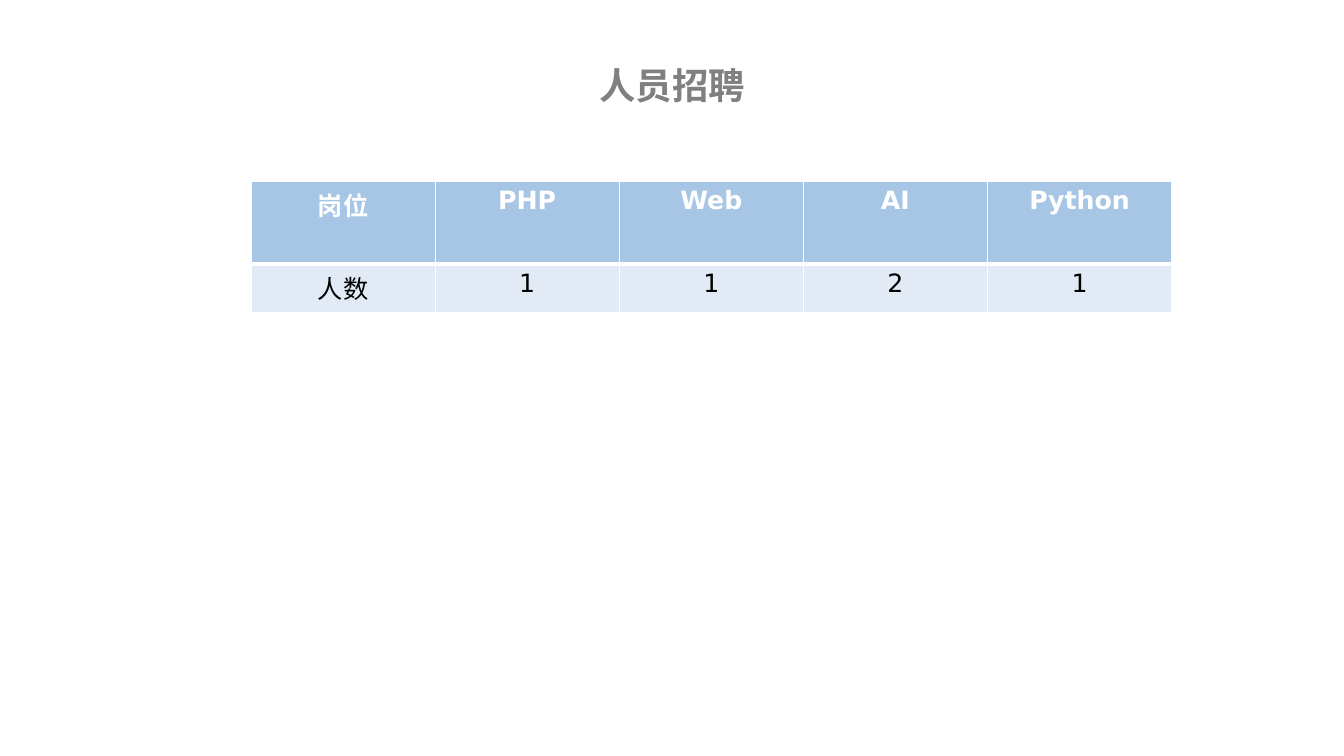
"""Build the recruitment slide: a title above a table of posts and headcounts."""
from dataclasses import dataclass

from lxml.etree import SubElement
from pptx import Presentation
from pptx.dml.color import RGBColor
from pptx.enum.text import MSO_ANCHOR, PP_ALIGN
from pptx.oxml.ns import qn
from pptx.util import Inches, Pt


@dataclass(frozen=True)
class Theme:
    """Colours, fonts and sizes of the slide."""
    grey: str = "808080"
    white: str = "FFFFFF"
    black: str = "000000"
    header_blue: str = "A7C6E5"
    row_blue: str = "E1EAF5"
    chinese: str = "Noto Sans CJK SC"
    latin: str = "DejaVu Sans"
    title_size: int = 26
    table_size: int = 18
    thin: int = 1
    thick: int = 3


THEME = Theme()


def write(frame, text, *, size, color, font, bold=False, anchor=MSO_ANCHOR.TOP):
    """Write one centred line of formatted text."""
    frame.word_wrap = True
    frame.vertical_anchor = anchor
    paragraph = frame.paragraphs[0]
    paragraph.alignment = PP_ALIGN.CENTER
    run = paragraph.add_run()
    run.text = text
    run.font.size = Pt(size)
    run.font.bold = bold
    run.font.color.rgb = RGBColor.from_string(color)
    run.font.name = font
    SubElement(run.font._element, qn("a:ea"), typeface=THEME.chinese)


def paint(cell, fill, borders):
    """Give a cell white borders and a solid fill."""
    properties = cell._tc.get_or_add_tcPr()
    for side, width in borders.items():
        line = SubElement(properties, qn(f"a:{side}"), w=str(Pt(width)))
        SubElement(SubElement(line, qn("a:solidFill")), qn("a:srgbClr"), val=THEME.white)
    cell.fill.solid()
    cell.fill.fore_color.rgb = RGBColor.from_string(fill)


deck = Presentation()
deck.slide_width, deck.slide_height = Inches(13.33), Inches(7.5)
slide = deck.slides.add_slide(deck.slide_layouts[5])

heading = slide.shapes.title
heading.left, heading.top = Inches(0.92), Inches(0.4)
heading.width, heading.height = Inches(11.5), Inches(0.89)
write(heading.text_frame, "人员招聘", size=THEME.title_size, color=THEME.grey,
      font=THEME.chinese, bold=True, anchor=MSO_ANCHOR.MIDDLE)

openings = [
    ["岗位", "PHP", "Web", "AI", "Python"],
    ["人数", "1", "1", "2", "1"],
]
row_heights = [0.82, 0.48]
row_styles = [
    (THEME.header_blue, THEME.white, True, THEME.thin, THEME.thick),
    (THEME.row_blue, THEME.black, False, THEME.thick, THEME.thin),
]
headcount = slide.shapes.add_table(
    len(openings), len(openings[0]),
    Inches(2.49), Inches(1.8), Inches(9.13), Inches(sum(row_heights))).table

for row, height, entries, style in zip(headcount.rows, row_heights, openings, row_styles):
    row.height = Inches(height)
    fill, color, bold, top, bottom = style
    borders = {"lnL": THEME.thin, "lnR": THEME.thin, "lnT": top, "lnB": bottom}
    for cell, entry in zip(row.cells, entries):
        write(cell.text_frame, entry, size=THEME.table_size, color=color,
              font=THEME.latin, bold=bold)
        paint(cell, fill, borders)

deck.save("out.pptx")
